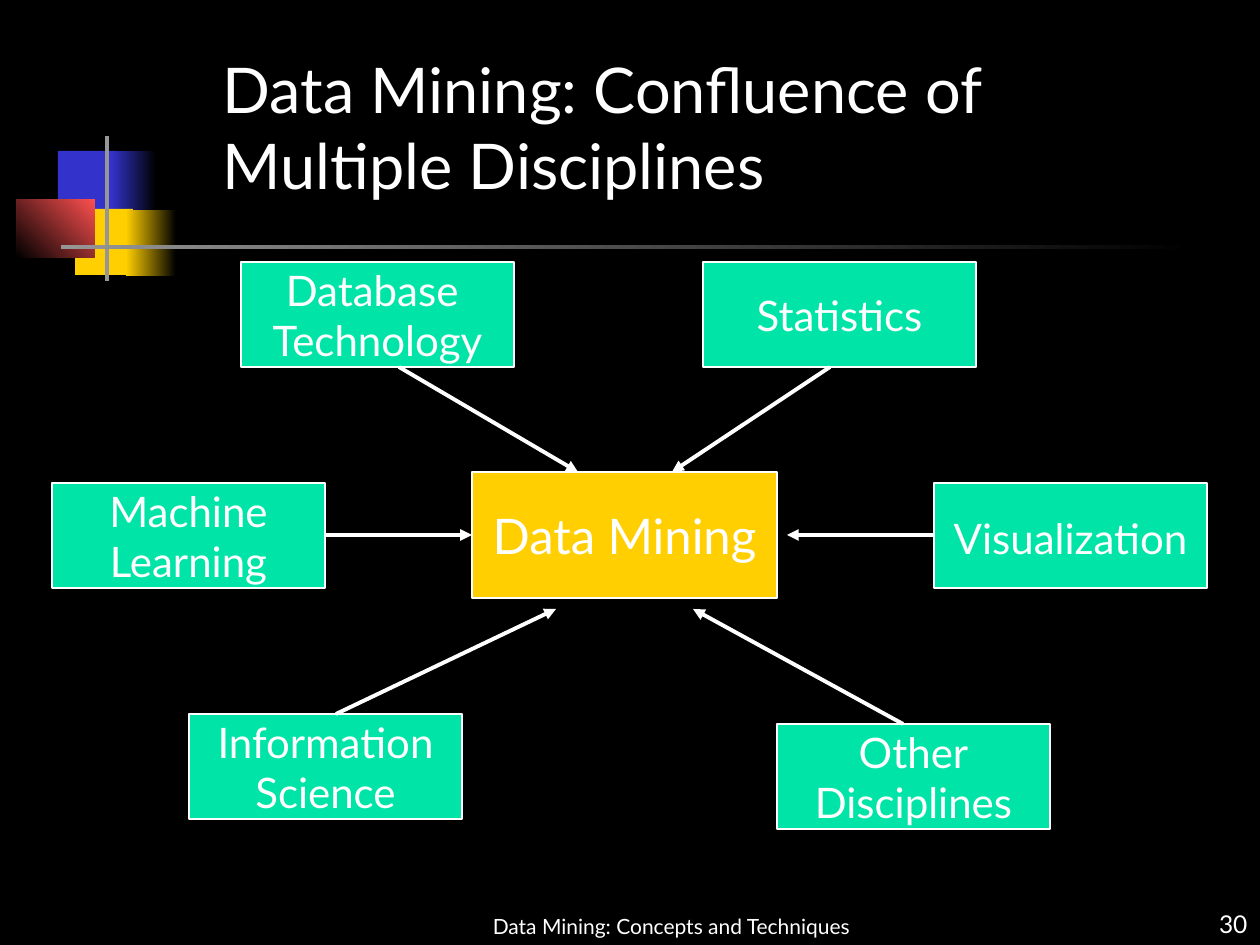
from lxml import etree
from pptx import Presentation
from pptx.dml.color import RGBColor
from pptx.enum.shapes import MSO_CONNECTOR, MSO_SHAPE
from pptx.enum.text import MSO_ANCHOR, MSO_AUTO_SIZE, PP_ALIGN
from pptx.oxml.ns import qn
from pptx.util import Emu, Pt

RECTANGLE = MSO_SHAPE.RECTANGLE
STRAIGHT = MSO_CONNECTOR.STRAIGHT
MIDDLE, BOTTOM = MSO_ANCHOR.MIDDLE, MSO_ANCHOR.BOTTOM
LEFT, CENTER, RIGHT = PP_ALIGN.LEFT, PP_ALIGN.CENTER, PP_ALIGN.RIGHT

BLACK = RGBColor(0x00, 0x00, 0x00)
WHITE = RGBColor(0xFF, 0xFF, 0xFF)
BLUE = RGBColor(0x33, 0x33, 0xCC)
YELLOW = RGBColor(0xFF, 0xCF, 0x01)
RED = RGBColor(0xFF, 0x50, 0x50)
GRAY = RGBColor(0x96, 0x96, 0x96)
GREEN = RGBColor(0x00, 0xE4, 0xA8)


def px(*lengths):
    return [Emu(round(length * 914400 / 126)) for length in lengths]


def write_text(shape, lines, size, alignment, anchor, wrap):
    frame = shape.text_frame
    frame_format = {
        "text": "\n".join(lines),
        "word_wrap": wrap,
        "auto_size": MSO_AUTO_SIZE.NONE,
        "vertical_anchor": anchor,
    }
    for name, value in frame_format.items():
        setattr(frame, name, value)
    for paragraph in frame.paragraphs:
        paragraph.alignment = alignment
        for name, value in {"name": "Lato", "size": Pt(size)}.items():
            setattr(paragraph.font, name, value)
        paragraph.font.color.rgb = WHITE


presentation = Presentation()
presentation.slide_width, presentation.slide_height = px(1260, 945)
slide = presentation.slides.add_slide(presentation.slide_layouts[5])
slide.background.fill.solid()
slide.background.fill.fore_color.rgb = BLACK
shapes = slide.shapes

decorations = [
    ((58, 151, 60, 66), [BLUE], None),
    ((111, 151, 45, 66), [BLACK, BLUE], 180),
    ((75, 209, 58, 66), [YELLOW], None),
    ((126, 210, 50, 66), [BLACK, YELLOW], 180),
    ((17, 199, 78, 59), [RED, BLACK], 225),
    ((105, 136, 4, 145), [GRAY], None),
    ((61, 245, 1134, 4), [BLACK, GRAY], 180),
]
for box, colors, angle in decorations:
    shape = shapes.add_shape(RECTANGLE, *px(*box))
    shape.shadow.inherit = False
    shape.line.fill.background()
    if angle is None:
        shape.fill.solid()
        shape.fill.fore_color.rgb = colors[0]
    else:
        shape.fill.gradient()
        shape.fill.gradient_angle = angle
        for stop, color, position in zip(shape.fill.gradient_stops, colors, (0, 1)):
            stop.color.rgb = color
            stop.position = position

title = shapes.title
title.left, title.top, title.width, title.height = px(210, 42, 1029, 168)
write_text(title, ["Data Mining: Confluence of Multiple Disciplines"], 36, LEFT, MIDDLE, True)

DISCIPLINE_SIZE = (273, 105)
nodes = [
    (["Data Mining"], (472, 472), (305, 126), YELLOW, 28),
    (["Database ", "Technology"], (241, 262), DISCIPLINE_SIZE, GREEN, 24),
    (["Statistics"], (703, 262), DISCIPLINE_SIZE, GREEN, 24),
    (["Other", "Disciplines"], (777, 724), DISCIPLINE_SIZE, GREEN, 24),
    (["Information", "Science"], (189, 714), DISCIPLINE_SIZE, GREEN, 24),
    (["Machine", "Learning"], (52, 483), DISCIPLINE_SIZE, GREEN, 24),
    (["Visualization"], (934, 483), DISCIPLINE_SIZE, GREEN, 24),
]
for lines, position, box_size, color, font_size in nodes:
    node = shapes.add_shape(RECTANGLE, *px(*position, *box_size))
    node.shadow.inherit = False
    node.fill.solid()
    node.fill.fore_color.rgb = color
    node.line.color.rgb = WHITE
    node.line.width = Pt(0.75)
    write_text(node, lines, font_size, CENTER, MIDDLE, False)
node.text_frame.paragraphs[0].line_spacing = 1.1

arrows = [
    (325, 535, 472, 535),
    (399, 367, 578, 472),
    (830, 367, 672, 472),
    (934, 535, 787, 535),
    (903, 724, 693, 609),
    (336, 714, 556, 609),
]
for ends in arrows:
    arrow = shapes.add_connector(STRAIGHT, *px(*ends))
    arrow.line.color.rgb = WHITE
    arrow.line.width = Pt(2.25)
    etree.SubElement(arrow.line._get_or_add_ln(), qn("a:tailEnd"), type="triangle")
    etree.SubElement(arrow._element.spPr, qn("a:effectLst"))

footers = [
    ("Data Mining: Concepts and Techniques", (472, 892, 399, 53), 12, CENTER),
    ("30", (998, 882, 262, 63), 14, RIGHT),
]
for text, box, font_size, alignment in footers:
    footer = shapes.add_textbox(*px(*box))
    write_text(footer, [text], font_size, alignment, BOTTOM, True)

presentation.save("out.pptx")
